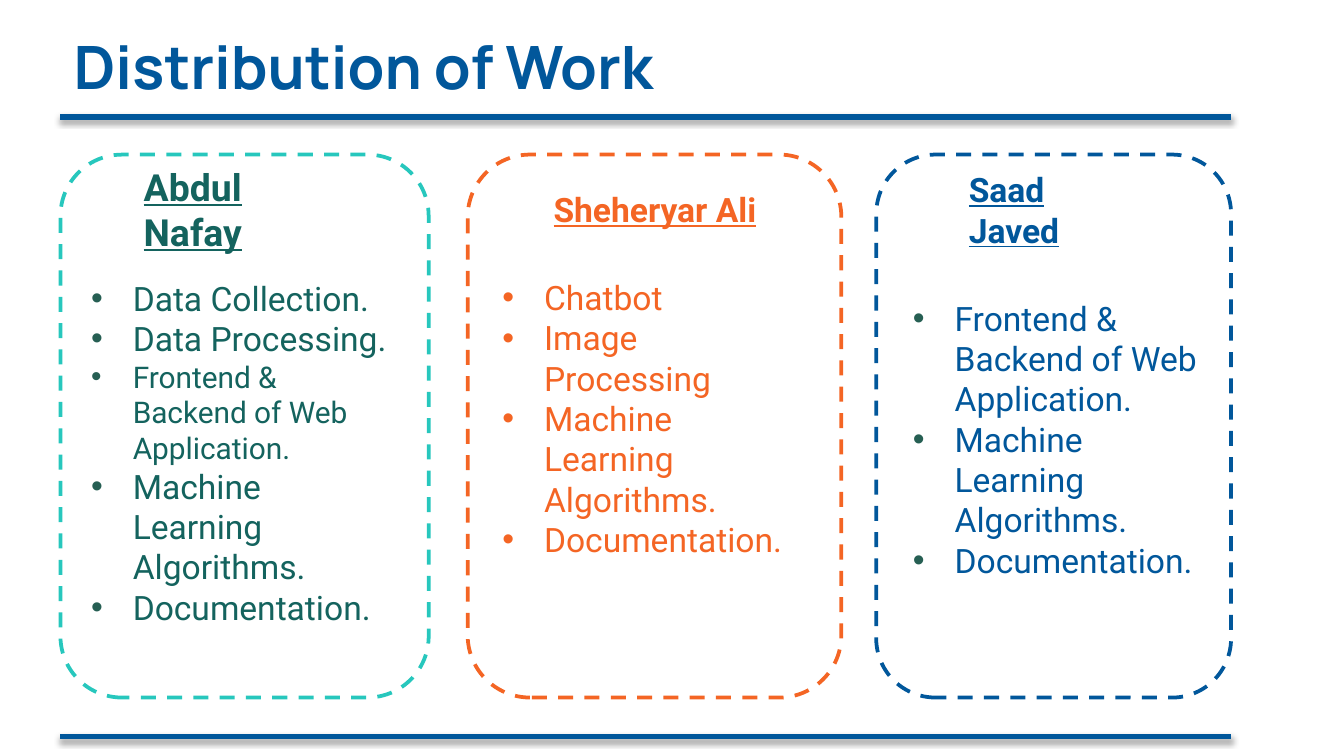
from collections import namedtuple

from lxml.etree import SubElement
from pptx import Presentation
from pptx.dml.color import RGBColor
from pptx.enum.dml import MSO_LINE
from pptx.enum.shapes import MSO_CONNECTOR, MSO_SHAPE
from pptx.enum.text import MSO_ANCHOR
from pptx.oxml.ns import qn
from pptx.util import Inches, Pt

Box = namedtuple("Box", "left top width height")
Card = namedtuple("Card", "box name name_size name_box tasks task_box outline ink bullet")

WIDTH = Inches(10)
HEIGHT = WIDTH * 9 // 16
COLUMN, ROW = WIDTH / 100, HEIGHT / 56.25
INSET = Inches(0.1)
LIST_FOOT = Inches(0.43)
INDENT = Inches(0.31)
BLUE, TEAL, ORANGE, GREEN, MOSS = "01579B", "27C7BD", "F46524", "14635E", "265F53"

LEARNING = ("Machine Learning Algorithms.", 18)
DOCUMENTS = ("Documentation.", 18)
WEB = "Frontend & Backend of Web Application."

CARDS = [
    Card(Box(4.5, 11.5, 27.4, 40.4), "Abdul Nafay", 20, Box(5.2, 1.25, 17.2, 5.6),
         [("Data Collection.", 18), ("Data Processing.", 18), (WEB, 16), LEARNING, DOCUMENTS],
         Box(1.3, 9.3, 24.7, 29), TEAL, GREEN, MOSS),
    Card(Box(34.8, 11.5, 27.8, 40.4), "Sheheryar Ali", 18, Box(5.4, 1.25, 17.1, 5.6),
         [("Chatbot", 18), ("Image Processing", 18), LEARNING, DOCUMENTS],
         Box(1.6, 9.3, 24.7, 23.9), ORANGE, ORANGE, ORANGE),
    Card(Box(65.2, 11.5, 26.4, 40.4), "Saad Javed", 18, Box(5.9, 1.3, 14.5, 5.6),
         [(WEB, 18), LEARNING, DOCUMENTS],
         Box(1.75, 8.3, 24.7, 29), BLUE, BLUE, MOSS),
]


def color(value):
    return RGBColor.from_string(value)


def place(box):
    return (round(box.left * COLUMN), round(box.top * ROW),
            round(box.width * COLUMN), round(box.height * ROW))


def within(outer, inner):
    return Box(outer.left + inner.left, outer.top + inner.top, inner.width, inner.height)


def turned(box):
    shift = (box.width - box.height) / 2
    return Box(box.left + shift, box.top - shift, box.height, box.width)


def add_text(page, box, lines, font, ink, bold=False, underline=False, foot=INSET):
    frame = page.shapes.add_textbox(*place(box)).text_frame
    frame.word_wrap = True
    frame.vertical_anchor = MSO_ANCHOR.MIDDLE
    frame.margin_left = frame.margin_top = frame.margin_right = INSET
    frame.margin_bottom = foot
    frame.text = "\n".join(words for words, size in lines)
    for para, (words, size) in zip(frame.paragraphs, lines):
        for span in para.runs:
            span.font.name = font
            span.font.size = Pt(size)
            span.font.bold = bold
            span.font.underline = underline
            span.font.color.rgb = color(ink)
    return frame


def add_bullet(para, ink):
    properties = para._p.get_or_add_pPr()
    properties.set("marL", str(INDENT))
    properties.set("indent", str(-INDENT))
    tint = SubElement(properties, qn("a:buClr"))
    SubElement(tint, qn("a:srgbClr"), val=ink)
    SubElement(properties, qn("a:buFont"), typeface="Arial")
    SubElement(properties, qn("a:buChar"), char="•")


def add_rule(page, box):
    left, top, width, height = place(box)
    rule = page.shapes.add_connector(MSO_CONNECTOR.STRAIGHT, left, top, left + width, top)
    rule.line.color.rgb = color(BLUE)
    rule.line.width = Pt(3)
    effects = SubElement(rule._element.spPr, qn("a:effectLst"))
    shadow = SubElement(effects, qn("a:outerShdw"), blurRad=str(Pt(3.1)),
                        dist=str(Pt(1.8)), dir="5400000", rotWithShape="0")
    black = SubElement(shadow, qn("a:srgbClr"), val="000000")
    SubElement(black, qn("a:alpha"), val="35000")


def add_heading(page, box):
    add_text(page, box, [("Distribution of Work", 32)], "Manrope", BLUE, bold=True)


def add_card(page, card):
    frame = page.shapes.add_shape(MSO_SHAPE.ROUNDED_RECTANGLE, *place(turned(card.box)))
    frame.rotation = 270
    frame.shadow.inherit = False
    frame.fill.background()
    frame.line.color.rgb = color(card.outline)
    frame.line.width = Pt(2)
    frame.line.dash_style = MSO_LINE.DASH
    add_text(page, within(card.box, card.name_box), [(card.name, card.name_size)],
             "Roboto", card.ink, bold=True, underline=True)
    tasks = add_text(page, within(card.box, card.task_box), card.tasks,
                     "Roboto", card.ink, foot=LIST_FOOT)
    for para in tasks.paragraphs:
        add_bullet(para, card.bullet)


def main():
    deck = Presentation()
    deck.slide_width, deck.slide_height = WIDTH, HEIGHT
    page = deck.slides.add_slide(deck.slide_layouts[6])
    add_heading(page, Box(4.5, 1.45, 90.7, 6.9))
    for top in (8.7, 54.8):
        add_rule(page, Box(4.5, top, 87.1, 0))
    for card in CARDS:
        add_card(page, card)
    deck.save("out.pptx")


if __name__ == "__main__":
    main()
